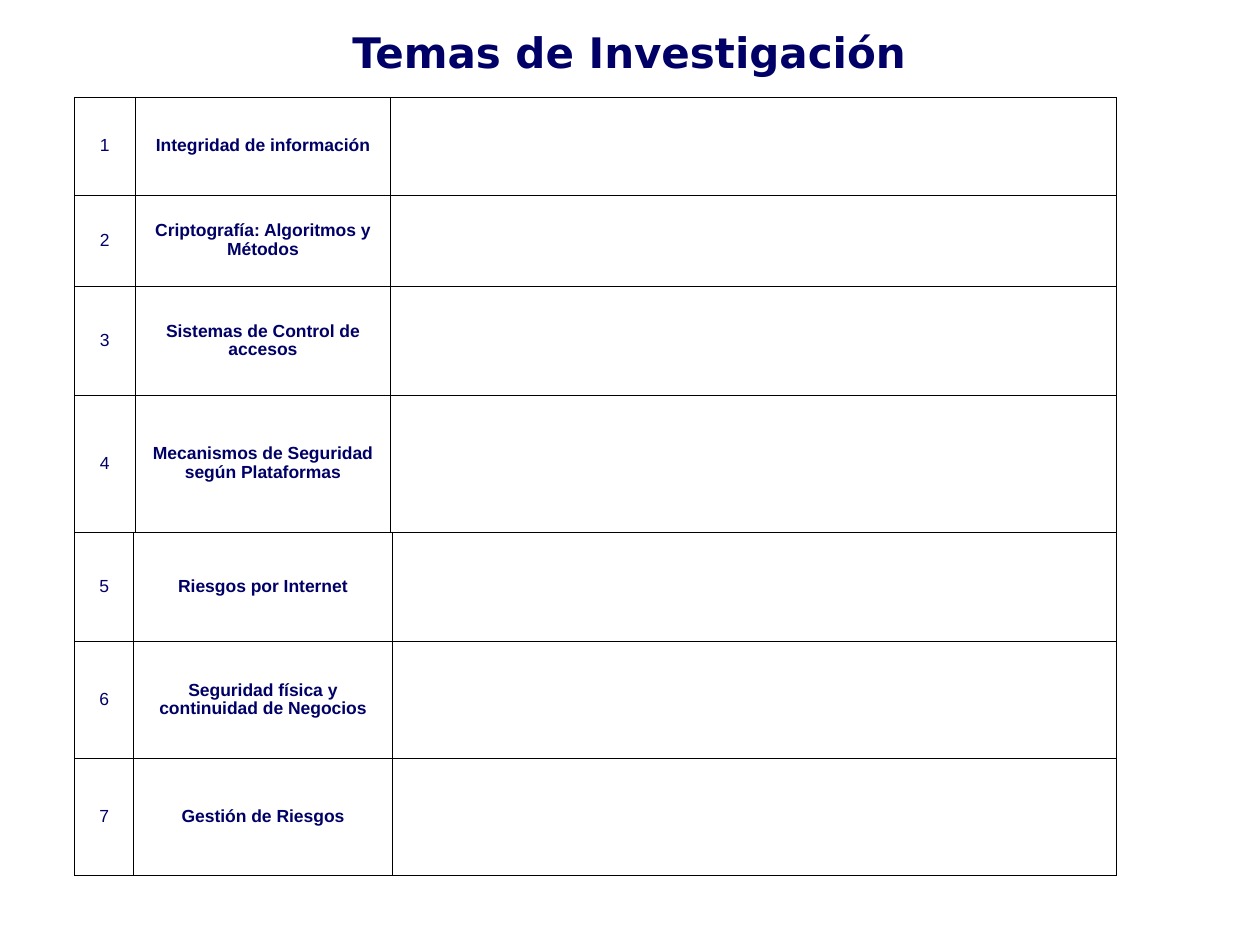
from lxml import etree
from pptx import Presentation
from pptx.dml.color import RGBColor
from pptx.enum import text
from pptx.oxml import ns
from pptx.util import Pt

COLORS = {"ink": "000066", "paper": "FFFFFF", "rule": "000000"}
LEFT = 42.5

# Each block: top, column widths, row heights, topics
BLOCKS = [
    (55.5, [34.75, 146, 414.75], [56, 52, 62.5, 78],
     ["Integridad de información", "Criptografía: Algoritmos y Métodos",
      "Sistemas de Control de accesos",
      "Mecanismos de Seguridad según Plataformas"]),
    (304, [34, 147.5, 414], [62.5, 67, 67],
     ["Riesgos por Internet", "Seguridad física y continuidad de Negocios",
      "Gestión de Riesgos"]),
]


def rgb(name):
    return RGBColor.from_string(COLORS[name])


def paint(item):
    item.fill.solid()
    item.fill.fore_color.rgb = rgb("paper")


def style(para, face, size, bold):
    para.alignment = text.PP_ALIGN.CENTER
    font = para.font
    font.name, font.size, font.bold = face, Pt(size), bold
    font.color.rgb = rgb("ink")


def add_title(slide, words):
    title = slide.shapes.title
    title.left, title.top = Pt(25), Pt(9.5)
    title.width, title.height = Pt(669), Pt(34)
    paint(title)
    frame = title.text_frame
    frame.text = words
    frame.word_wrap = True
    frame.auto_size = text.MSO_AUTO_SIZE.NONE
    frame.vertical_anchor = text.MSO_ANCHOR.TOP
    frame.margin_top = Pt(5.5)
    style(frame.paragraphs[0], "DejaVu Sans", 24, True)


def add_rules(cell):
    props = cell._tc.get_or_add_tcPr()
    for spot, side in enumerate(("lnL", "lnR", "lnT", "lnB")):
        line = etree.Element(ns.qn("a:" + side), w=str(Pt(0.45)))
        fill = etree.SubElement(line, ns.qn("a:solidFill"))
        etree.SubElement(fill, ns.qn("a:srgbClr"), val=COLORS["rule"])
        props.insert(spot, line)


def fill_cell(cell, words, bold):
    cell.text = words
    cell.vertical_anchor = text.MSO_ANCHOR.MIDDLE
    para = cell.text_frame.paragraphs[0]
    para.line_spacing = 0.95
    style(para, "Arial", 10, bold)


def add_block(slide, first, top, widths, heights, topics):
    table = slide.shapes.add_table(
        len(heights), len(widths), Pt(LEFT), Pt(top),
        Pt(sum(widths)), Pt(sum(heights))).table
    table.first_row = table.horz_banding = False
    for col, width in zip(table.columns, widths):
        col.width = Pt(width)
    for row, height in zip(table.rows, heights):
        row.height = Pt(height)
    for cell in table.iter_cells():
        paint(cell)
        add_rules(cell)
    for row, topic in enumerate(topics):
        fill_cell(table.cell(row, 0), str(first + row), False)
        fill_cell(table.cell(row, 1), topic, True)


def main():
    deck = Presentation()
    deck.slide_width, deck.slide_height = Pt(720), Pt(540)
    slide = deck.slides.add_slide(deck.slide_layouts[5])
    paint(slide.background)

    add_title(slide, "Temas de Investigación")

    # Numbering runs on from one table to the next
    first = 1
    for top, widths, heights, topics in BLOCKS:
        add_block(slide, first, top, widths, heights, topics)
        first += len(topics)

    deck.save("out.pptx")


if __name__ == "__main__":
    main()
